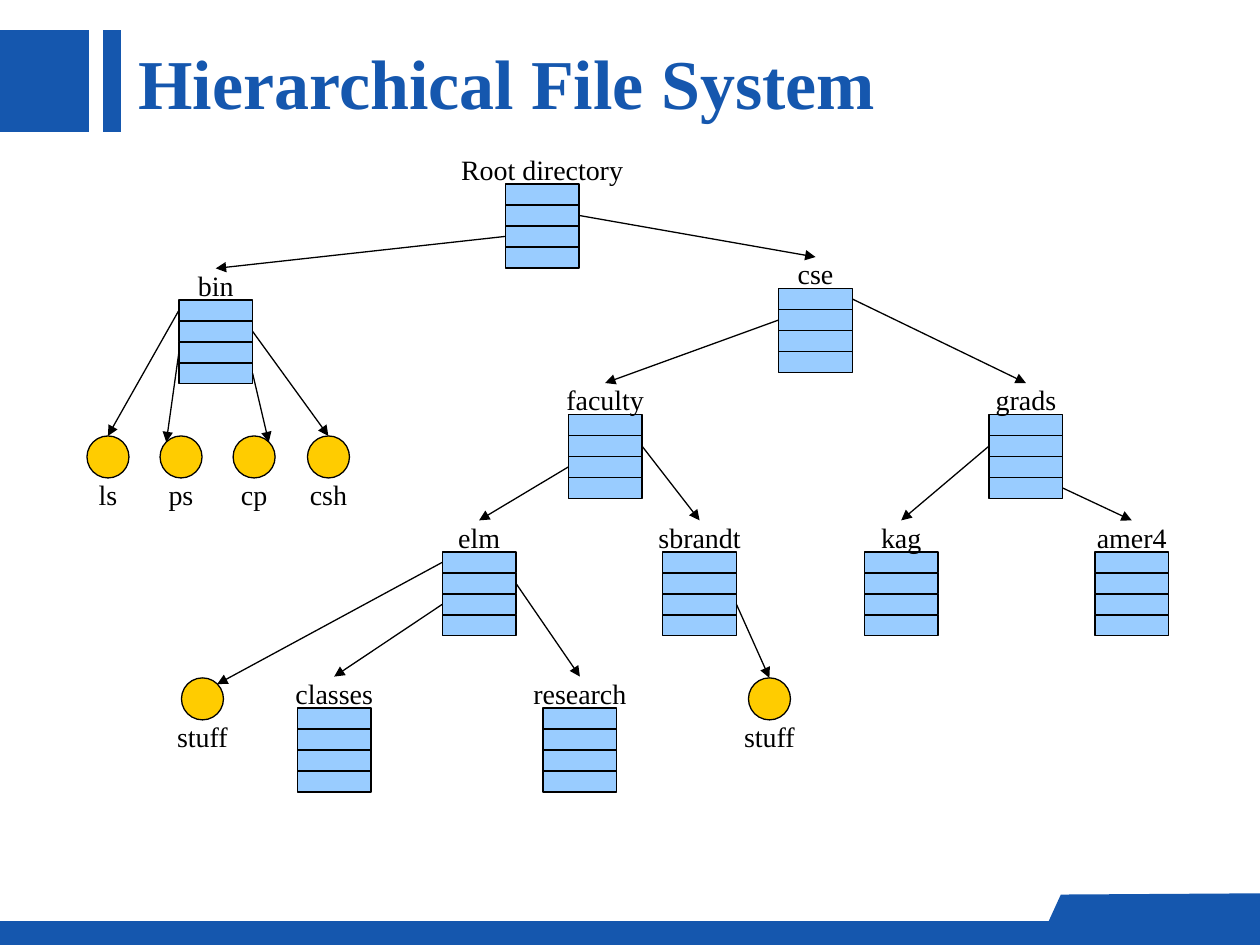
"""Build the Hierarchical File System slide."""
from typing import NamedTuple

from lxml import etree
from pptx import Presentation
from pptx.dml.color import RGBColor
from pptx.enum.shapes import MSO_CONNECTOR, MSO_SHAPE
from pptx.enum.text import MSO_ANCHOR, MSO_AUTO_SIZE, PP_ALIGN
from pptx.oxml.ns import qn
from pptx.util import Inches, Pt

RECTANGLE, OVAL = MSO_SHAPE.RECTANGLE, MSO_SHAPE.OVAL
PROCESS = MSO_SHAPE.FLOWCHART_PROCESS
STRAIGHT = MSO_CONNECTOR.STRAIGHT
LEFT, CENTER = PP_ALIGN.LEFT, PP_ALIGN.CENTER
MIDDLE = MSO_ANCHOR.MIDDLE
FIT_SHAPE, NO_FIT = MSO_AUTO_SIZE.SHAPE_TO_FIT_TEXT, MSO_AUTO_SIZE.NONE

BLUE = RGBColor(0x15, 0x57, 0xAE)
LIGHT_BLUE = RGBColor(0x99, 0xCC, 0xFF)
GOLD = RGBColor(0xFF, 0xCC, 0x00)
BLACK = RGBColor(0, 0, 0)
FONT = "Times New Roman"
ENTRY_WIDTH, ENTRY_HEIGHT, ENTRY_COUNT = 0.585, 1 / 6, 4
LABEL_RISE, LABEL_HEIGHT = 0.25, 0.27
FILE_SIZE = 1 / 3
RIM_INSET = 0.05


class Directory(NamedTuple):
    name: str
    left: float
    top: float
    label_width: float

    def arrival(self) -> tuple[float, float]:
        return self.left + ENTRY_WIDTH / 2, self.top - LABEL_RISE


class File(NamedTuple):
    name: str
    left: float
    top: float
    label_width: float
    rim: str = "top"

    def arrival(self) -> tuple[float, float]:
        if self.rim == "top":
            return self.left + FILE_SIZE / 2, self.top
        inset = RIM_INSET if self.rim == "left" else FILE_SIZE - RIM_INSET
        return self.left + inset, self.top + RIM_INSET


class Link(NamedTuple):
    parent: Directory
    entry: int
    side: str
    child: Directory | File


ROOT = Directory("Root directory", 4.01, 1.46, 1.39)
BIN = Directory("bin", 1.42, 2.38, 0.39)
CSE = Directory("cse", 6.18, 2.29, 0.39)
FACULTY = Directory("faculty", 4.51, 3.29, 0.72)
GRADS = Directory("grads", 7.85, 3.29, 0.58)
ELM = Directory("elm", 3.51, 4.38, 0.44)
SBRANDT = Directory("sbrandt", 5.26, 4.38, 0.76)
KAG = Directory("kag", 6.86, 4.38, 0.42)
AMER4 = Directory("amer4", 8.69, 4.38, 0.66)
CLASSES = Directory("classes", 2.36, 5.62, 0.72)
RESEARCH = Directory("research", 4.31, 5.62, 0.84)
DIRECTORIES = (ROOT, BIN, CSE, FACULTY, GRADS, ELM, SBRANDT, KAG, AMER4,
               CLASSES, RESEARCH)

LS = File("ls", 0.69, 3.46, 0.25)
PS = File("ps", 1.27, 3.46, 0.3, "left")
CP = File("cp", 1.85, 3.46, 0.31, "right")
CSH = File("csh", 2.44, 3.46, 0.4)
ELM_STUFF = File("stuff", 1.44, 5.38, 0.51, "right")
SBRANDT_STUFF = File("stuff", 5.94, 5.38, 0.51)
FILES = (LS, PS, CP, CSH, ELM_STUFF, SBRANDT_STUFF)

LINKS = (
    Link(ROOT, 2, "left", BIN), Link(ROOT, 1, "right", CSE),
    Link(BIN, 0, "left", LS), Link(BIN, 1, "right", CSH),
    Link(BIN, 2, "left", PS), Link(BIN, 3, "right", CP),
    Link(CSE, 1, "left", FACULTY), Link(CSE, 0, "right", GRADS),
    Link(FACULTY, 2, "left", ELM), Link(FACULTY, 1, "right", SBRANDT),
    Link(GRADS, 1, "left", KAG), Link(GRADS, 3, "right", AMER4),
    Link(ELM, 0, "left", ELM_STUFF), Link(ELM, 2, "left", CLASSES),
    Link(ELM, 1, "right", RESEARCH), Link(SBRANDT, 2, "right", SBRANDT_STUFF),
)
BARS = ((0, 0.24, 0.71, 0.81), (0.82, 0.24, 0.14, 0.81), (0, 7.31, 10, 0.19))
CORNER = ((10, 7.45), (10, 7.09), (8.42, 7.1), (8.26, 7.45))


def paint(shape, fill: RGBColor, outlined: bool) -> None:
    shape.shadow.inherit = False
    shape.fill.solid()
    shape.fill.fore_color.rgb = fill
    if outlined:
        shape.line.color.rgb = BLACK
        shape.line.width = Pt(0.75)
    else:
        shape.line.fill.background()


def draw_shape(slide, kind, box: tuple, fill: RGBColor, outlined: bool = True) -> None:
    paint(slide.shapes.add_shape(kind, *map(Inches, box)), fill, outlined)


def draw_label(slide, name: str, center: float, top: float, width: float) -> None:
    label = slide.shapes.add_textbox(
        Inches(center - width / 2), Inches(top), Inches(width), Inches(LABEL_HEIGHT))
    frame = label.text_frame
    frame.margin_left = frame.margin_right = Inches(0.05)
    frame.margin_top = frame.margin_bottom = 0
    frame.word_wrap = False
    frame.auto_size = FIT_SHAPE
    frame.text = name
    line = frame.paragraphs[0]
    line.alignment = CENTER
    line.font.name, line.font.size = FONT, Pt(16)
    line.font.color.rgb = BLACK


def draw_directory(slide, directory: Directory) -> None:
    for entry in range(ENTRY_COUNT):
        top = directory.top + entry * ENTRY_HEIGHT
        draw_shape(slide, RECTANGLE,
                   (directory.left, top, ENTRY_WIDTH, ENTRY_HEIGHT), LIGHT_BLUE)
    center, label_top = directory.arrival()
    draw_label(slide, directory.name, center, label_top, directory.label_width)


def draw_file(slide, file: File) -> None:
    draw_shape(slide, OVAL, (file.left, file.top, FILE_SIZE, FILE_SIZE), GOLD)
    draw_label(slide, file.name, file.left + FILE_SIZE / 2,
               file.top + FILE_SIZE, file.label_width)


def draw_link(slide, link: Link) -> None:
    start_x = link.parent.left + (ENTRY_WIDTH if link.side == "right" else 0)
    start_y = link.parent.top + (link.entry + 0.5) * ENTRY_HEIGHT
    arrow = slide.shapes.add_connector(
        STRAIGHT, *map(Inches, (start_x, start_y, *link.child.arrival())))
    arrow.line.color.rgb = BLACK
    arrow.line.width = Pt(0.75)
    etree.SubElement(arrow.line._get_or_add_ln(), qn("a:tailEnd"), type="triangle")
    etree.SubElement(arrow._element.spPr, qn("a:effectLst"))


def draw_decoration(slide) -> None:
    for bar in BARS:
        draw_shape(slide, PROCESS, bar, BLUE, outlined=False)
    start, *others = [(Inches(x), Inches(y)) for x, y in CORNER]
    outline = slide.shapes.build_freeform(*start)
    outline.add_line_segments(others, close=True)
    paint(outline.convert_to_shape(), BLUE, outlined=False)


def write_title(slide) -> None:
    title = slide.shapes.title
    title.left, title.top, title.width, title.height = map(
        Inches, (1, 0.29, 9.37, 0.71))
    frame = title.text_frame
    frame.text = "Hierarchical File System"
    frame.auto_size = NO_FIT
    frame.vertical_anchor = MIDDLE
    heading = frame.paragraphs[0]
    heading.alignment = LEFT
    heading.font.name, heading.font.size, heading.font.bold = FONT, Pt(40), True
    heading.font.color.rgb = BLUE


def main() -> None:
    deck = Presentation()
    deck.slide_width, deck.slide_height = Inches(10), Inches(7.5)
    slide = deck.slides.add_slide(deck.slide_layouts[5])
    draw_decoration(slide)
    write_title(slide)
    for directory in DIRECTORIES:
        draw_directory(slide, directory)
    for file in FILES:
        draw_file(slide, file)
    for link in LINKS:
        draw_link(slide, link)
    deck.save("out.pptx")


if __name__ == "__main__":
    main()
